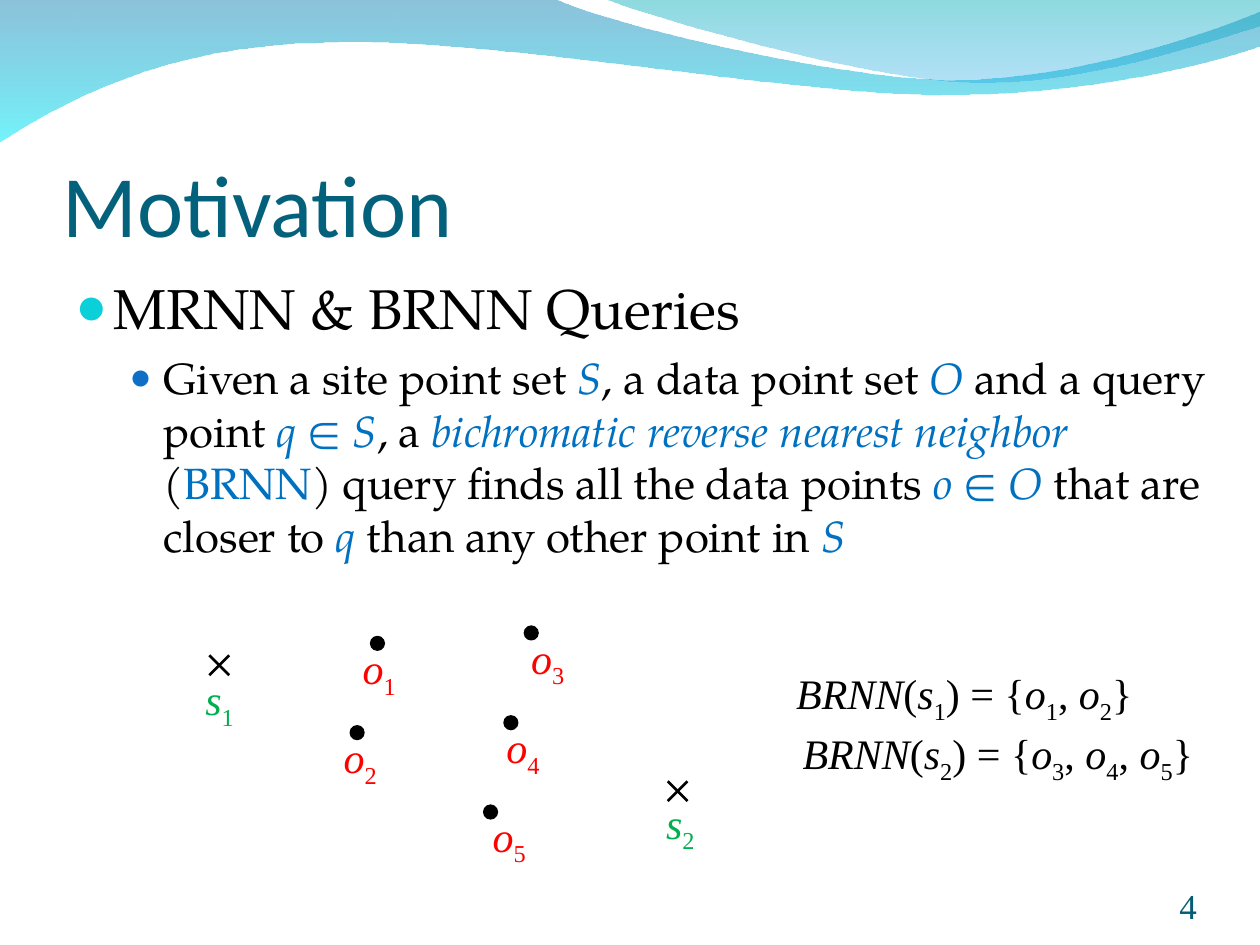
from itertools import groupby

from lxml.etree import SubElement
from pptx import Presentation
from pptx.dml.color import RGBColor
from pptx.enum.shapes import MSO_CONNECTOR as Line, MSO_SHAPE as Preset
from pptx.enum.text import MSO_ANCHOR as Anchor, MSO_AUTO_SIZE as AutoSize, PP_ALIGN as Align
from pptx.oxml.ns import qn
from pptx.util import Cm, Pt

COLORS = {
    "title": "04617B", "number": "045C75", "text": "000000", "term": "0070C0",
    "site": "00B050", "data": "FF0000", "bullet": "0BD0D9", "subbullet": "0F6FC6",
    "wave_top": "0079AF", "wave_bottom": "00EBF8",
    "crest_top": "00ADB6", "crest_bottom": "009BE5",
}
HEADING, BODY, MATH = "Calibri", "TeX Gyre Pagella", "Times New Roman"

# Outlines in cm: one pair is a line end, three pairs are a Bezier curve.
WAVE = [
    [(0, -0.03)], [(11.18, -0.03)],
    [(12.09, 0.43), (16.87, 1.6), (19.25, 1.6)],
    [(21.67, 1.6), (24.33, 0.66), (25.4, 0.23)],
    [(25.43, 0.91)],
    [(24.97, 1.12), (22.1, 1.93), (18.95, 1.91)],
    [(15.8, 1.91), (9.7, 0.71), (6.53, 0.86)],
    [(3.28, 0.89), (1.17, 2.11), (-0.03, 2.87)],
]
CREST = [
    [(12.17, -0.03)],
    [(12.93, 0.28), (17.32, 1.57), (19.53, 1.65)],
    [(21.74, 1.75), (24.41, 0.81), (25.4, 0.53)],
    [(25.4, 0)],
]

DEFINITION = [  # text, colour, italic
    ("Given a site point set ", "text", False), ("S", "term", True),
    (", a data point set ", "text", False), ("O", "term", True),
    (" and a query point ", "text", False), ("q", "term", True),
    (" ∈ ", "term", False), ("S", "term", True), (", a ", "text", False),
    ("bichromatic reverse nearest neighbor ", "term", True),
    ("(", "text", False), ("BRNN", "term", False),
    (") query finds all the data points ", "text", False), ("o", "term", True),
    (" ∈ ", "term", False), ("O ", "term", True),
    ("that are closer to ", "text", False), ("q", "term", True),
    (" than any other point in ", "text", False), ("S", "term", True),
]

# name, mark left and top, label left, top and width
DATA_POINTS = [
    ("o1", 7.47, 12.83, 7.06, 12.83, 2.26),
    ("o2", 7.06, 14.63, 6.68, 14.63, 2.06),
    ("o3", 10.57, 12.62, 10.46, 12.62, 2.57),
    ("o4", 10.16, 14.43, 9.96, 14.43, 2.67),
    ("o5", 9.75, 16.23, 9.68, 16.21, 2.26),
]
SITES = [
    ("s1", 4.22, 13.21, 3.89, 13.46, 2.03),
    ("s2", 13.46, 15.75, 13.18, 15.95, 2.46),
]
ANSWERS = [
    ("BRNN(s1) = {o1, o2}", 15.8, 13.34, 7.29),
    ("BRNN(s2) = {o3, o4, o5}", 15.93, 14.55, 8.38),
]
LABEL_HEIGHT = 1.42


def rgb(name):
    return RGBColor.from_string(COLORS[name])


def write(paragraph, text, *, size, font, color="text", italic=False, subscript=False):
    run = paragraph.add_run()
    run.text = text
    run.font.size = Pt(size)
    run.font.name = font
    run.font.italic = italic
    run.font.color.rgb = rgb(color)
    if subscript:
        run.font._element.set("baseline", "-25000")


def write_math(paragraph, formula, color="text"):
    """Set letters in italics, digits as subscripts and the rest upright."""
    for (letter, digit), chars in groupby(formula, lambda c: (c.isalpha(), c.isdigit())):
        write(paragraph, "".join(chars), size=24, font=MATH, color=color,
              italic=letter, subscript=digit)


def add_frame(slide, left, top, width, height, anchor=Anchor.TOP, inset=None, wrap=True):
    """Add a text box; inset is (left, top, right, bottom) in cm."""
    frame = slide.shapes.add_textbox(Cm(left), Cm(top), Cm(width), Cm(height)).text_frame
    frame.word_wrap = wrap
    frame.vertical_anchor = anchor
    if inset:
        (frame.margin_left, frame.margin_top,
         frame.margin_right, frame.margin_bottom) = map(Cm, inset)
    return frame


def add_math(slide, formula, left, top, width, color="text", wrap=True):
    frame = add_frame(slide, left, top, width, LABEL_HEIGHT, wrap=wrap)
    frame.auto_size = AutoSize.SHAPE_TO_FIT_TEXT
    write_math(frame.paragraphs[0], formula, color)


def set_bullet(paragraph, color, percent, indent, hanging, space_before):
    paragraph.space_before = Pt(space_before)
    props = paragraph._p.get_or_add_pPr()
    props.set("marL", str(Cm(indent)))
    props.set("indent", str(-Cm(hanging)))
    SubElement(SubElement(props, qn("a:buClr")), qn("a:srgbClr"), val=COLORS[color])
    SubElement(props, qn("a:buSzPct"), val=str(percent * 1000))
    SubElement(props, qn("a:buFont"), typeface=MATH)
    SubElement(props, qn("a:buChar"), char="●")


def add_outline(slide, outline):
    """Build a freeform, then join each three points of a curve into one Bezier."""
    start, *rest = [(Cm(x), Cm(y)) for part in outline for x, y in part]
    builder = slide.shapes.build_freeform(*start)
    builder.add_line_segments(rest)
    shape = builder.convert_to_shape()
    steps = iter(list(shape._element.spPr.iter(qn("a:moveTo"), qn("a:lnTo"))))
    for part in outline:
        first, *others = [next(steps) for _ in part]
        if others:
            first.tag = qn("a:cubicBezTo")
            for step in others:
                first.append(step[0])
                step.getparent().remove(step)
    return shape


def add_wave(slide, outline, *stops):
    """Draw an outline filled from top to bottom; a stop is (colour, opacity %)."""
    wave = add_outline(slide, outline)
    wave.shadow.inherit = False
    wave.line.fill.background()
    wave.fill.gradient()
    wave.fill.gradient_angle = 270
    for stop, (color, _) in zip(wave.fill.gradient_stops, stops):
        stop.color.rgb = rgb(color)
    for element, (_, opacity) in zip(wave._element.spPr.iter(qn("a:srgbClr")), stops):
        SubElement(element, qn("a:alpha"), val=str(opacity * 1000))


def add_dot(slide, left, top, size=0.28):
    dot = slide.shapes.add_shape(Preset.OVAL, Cm(left), Cm(top), Cm(size), Cm(size))
    dot.shadow.inherit = False
    dot.fill.solid()
    dot.fill.fore_color.rgb = rgb("text")
    dot.line.color.rgb = rgb("text")
    dot.line.width = Pt(0.75)


def add_cross(slide, left, top, size=0.4):
    for start, end in ((top, top + size), (top + size, top)):
        stroke = slide.shapes.add_connector(
            Line.STRAIGHT, Cm(left + size), Cm(start), Cm(left), Cm(end))
        stroke.line.color.rgb = rgb("text")
        stroke.line.width = Pt(1.5)
        SubElement(stroke._element.spPr, qn("a:effectLst"))


def add_body(slide):
    frame = add_frame(slide, 1.27, 5.38, 24.13, 12.95)
    topic = frame.paragraphs[0]
    set_bullet(topic, "bullet", 95, 0.76, 0.76, 8)
    write(topic, "MRNN & BRNN Queries", size=32, font=BODY)
    definition = frame.add_paragraph()
    definition.level = 1
    set_bullet(definition, "subbullet", 85, 1.78, 0.69, 6.2)
    for text, color, italic in DEFINITION:
        write(definition, text, size=25, font=BODY, color=color, italic=italic)


def add_points(slide, points, add_mark, color):
    for name, left, top, *label in points:
        add_mark(slide, left, top)
        add_math(slide, name, *label, color=color)


def main():
    deck = Presentation()
    deck.slide_width, deck.slide_height = Cm(25.4), Cm(19.05)
    slide = deck.slides.add_slide(deck.slide_layouts[6])

    add_wave(slide, WAVE, ("wave_top", 45), ("wave_bottom", 55))
    add_wave(slide, CREST, ("crest_top", 45), ("crest_bottom", 30))

    title = add_frame(slide, 1.27, 1.96, 22.86, 3.18, Anchor.BOTTOM, (0, 0.13, 0, 0))
    write(title.paragraphs[0], "Motivation", size=50, font=HEADING, color="title")
    add_body(slide)
    number = add_frame(slide, 22.02, 17.65, 2.11, 1.02, Anchor.BOTTOM, (0, 0, 0, 0))
    number.paragraphs[0].alignment = Align.RIGHT
    write(number.paragraphs[0], "4", size=20, font=MATH, color="number")

    add_points(slide, DATA_POINTS, add_dot, "data")
    add_points(slide, SITES, add_cross, "site")
    for formula, left, top, width in ANSWERS:
        add_math(slide, formula, left, top, width, wrap=False)

    deck.save("out.pptx")


if __name__ == "__main__":
    main()
